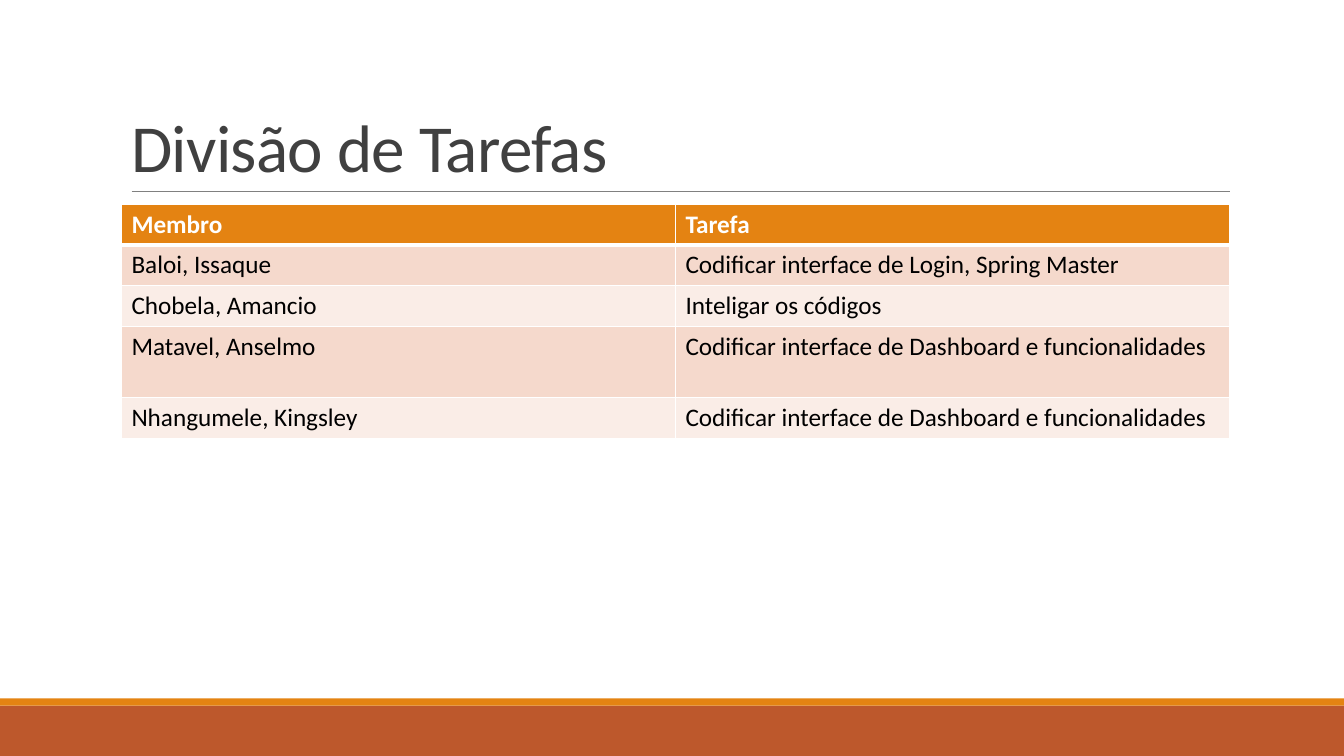
from typing import NamedTuple

import lxml.etree
import pptx
import pptx.dml.color
import pptx.enum.shapes
import pptx.enum.text
import pptx.oxml.ns
import pptx.slide
import pptx.table
import pptx.text.text
import pptx.util

Pt = pptx.util.Pt
RGBColor = pptx.dml.color.RGBColor
qn = pptx.oxml.ns.qn

WHITE = RGBColor(0xFF, 0xFF, 0xFF)
BLACK = RGBColor(0x00, 0x00, 0x00)
CHARCOAL = RGBColor(0x40, 0x40, 0x40)
GRAY = RGBColor(0x80, 0x80, 0x80)
ORANGE = RGBColor(0xE4, 0x83, 0x12)
RUST = RGBColor(0xBD, 0x58, 0x2C)
BAND_DARK = RGBColor(0xF5, 0xD9, 0xCC)
BAND_LIGHT = RGBColor(0xFA, 0xED, 0xE7)

FONT = "Calibri"
PAGE_WIDTH, PAGE_HEIGHT = 960, 540
CONTENT_LEFT, CONTENT_WIDTH = 86.75, 791.5
TABLE_TOP = 145.75
THIN_BORDER, HEADER_BORDER = 1, 3


class Band(NamedTuple):
    """A full-width footer strip."""
    top: float
    height: float
    color: RGBColor


class TaskRow(NamedTuple):
    """A table row: a member, the assigned task and the row height."""
    member: str
    task: str
    height: float = 29.2


FOOTER_BANDS = [Band(504, 36, RUST), Band(498.75, 5.25, ORANGE)]
TASK_ROWS = [
    TaskRow("Membro", "Tarefa"),
    TaskRow("Baloi, Issaque", "Codificar interface de Login, Spring Master"),
    TaskRow("Chobela, Amancio", "Inteligar os códigos"),
    TaskRow("Matavel, Anselmo", "Codificar interface de Dashboard e funcionalidades", 50.8),
    TaskRow("Nhangumele, Kingsley", "Codificar interface de Dashboard e funcionalidades"),
]


def add_span(para: pptx.text.text._Paragraph, text: str, size: float,
             color: RGBColor, bold: bool = False) -> pptx.text.text._Run:
    """Add one formatted run to a paragraph."""
    span = para.add_run()
    span.text = text
    span.font.name = FONT
    span.font.size = Pt(size)
    span.font.bold = bold
    span.font.color.rgb = color
    return span


def add_band(page: pptx.slide.Slide, band: Band) -> None:
    """Draw one footer strip."""
    strip = page.shapes.add_shape(pptx.enum.shapes.MSO_SHAPE.RECTANGLE,
                                  0, Pt(band.top), Pt(PAGE_WIDTH), Pt(band.height))
    strip.shadow.inherit = False
    strip.fill.solid()
    strip.fill.fore_color.rgb = band.color
    strip.line.fill.background()


def add_title_rule(page: pptx.slide.Slide) -> None:
    """Draw the thin line under the title."""
    rule = page.shapes.add_connector(pptx.enum.shapes.MSO_CONNECTOR.STRAIGHT,
                                     Pt(94), Pt(136.8), Pt(878.75), Pt(136.8))
    rule.line.color.rgb = GRAY
    rule.line.width = Pt(0.5)
    lxml.etree.SubElement(rule._element.spPr, qn("a:effectLst"))


def add_title(page: pptx.slide.Slide, text: str) -> None:
    """Write the title, anchored to the bottom of its box."""
    box = page.shapes.add_textbox(Pt(CONTENT_LEFT), Pt(22.5), Pt(CONTENT_WIDTH), Pt(114.25))
    box.text_frame.word_wrap = True
    box.text_frame.vertical_anchor = pptx.enum.text.MSO_ANCHOR.BOTTOM
    para = box.text_frame.paragraphs[0]
    para.line_spacing = 0.85
    span = add_span(para, text, 48, CHARCOAL)
    span._r.get_or_add_rPr().set("spc", "-50")


def set_borders(cell: pptx.table._Cell, top: float, bottom: float) -> None:
    """Give a cell white borders, with thin sides."""
    properties = cell._tc.get_or_add_tcPr()
    widths = {"a:lnL": THIN_BORDER, "a:lnR": THIN_BORDER, "a:lnT": top, "a:lnB": bottom}
    for tag, width in widths.items():
        border = lxml.etree.SubElement(properties, qn(tag), w=str(Pt(width)))
        fill = lxml.etree.SubElement(border, qn("a:solidFill"))
        lxml.etree.SubElement(fill, qn("a:srgbClr"), val=str(WHITE))


def add_task_table(page: pptx.slide.Slide, rows: list[TaskRow]) -> None:
    """Draw the table with a header and alternating row colours."""
    frame = page.shapes.add_table(len(rows), 2, Pt(CONTENT_LEFT), Pt(TABLE_TOP),
                                  Pt(CONTENT_WIDTH), Pt(sum(row.height for row in rows)))
    table = frame.table
    for index, row in enumerate(rows):
        table.rows[index].height = Pt(row.height)
        header = index == 0
        band_color = BAND_DARK if index % 2 else BAND_LIGHT
        for column, text in enumerate((row.member, row.task)):
            cell = table.cell(index, column)
            set_borders(cell, top=HEADER_BORDER if index == 1 else THIN_BORDER,
                        bottom=HEADER_BORDER if header else THIN_BORDER)
            cell.fill.solid()
            cell.fill.fore_color.rgb = ORANGE if header else band_color
            add_span(cell.text_frame.paragraphs[0], text, 18,
                     WHITE if header else BLACK, bold=header)


def main() -> None:
    """Build and save the deck."""
    deck = pptx.Presentation()
    deck.slide_width, deck.slide_height = Pt(PAGE_WIDTH), Pt(PAGE_HEIGHT)
    page = deck.slides.add_slide(deck.slide_layouts[6])
    for band in FOOTER_BANDS:
        add_band(page, band)
    add_title_rule(page)
    add_title(page, "Divisão de Tarefas")
    add_task_table(page, TASK_ROWS)
    deck.save("out.pptx")


main()
